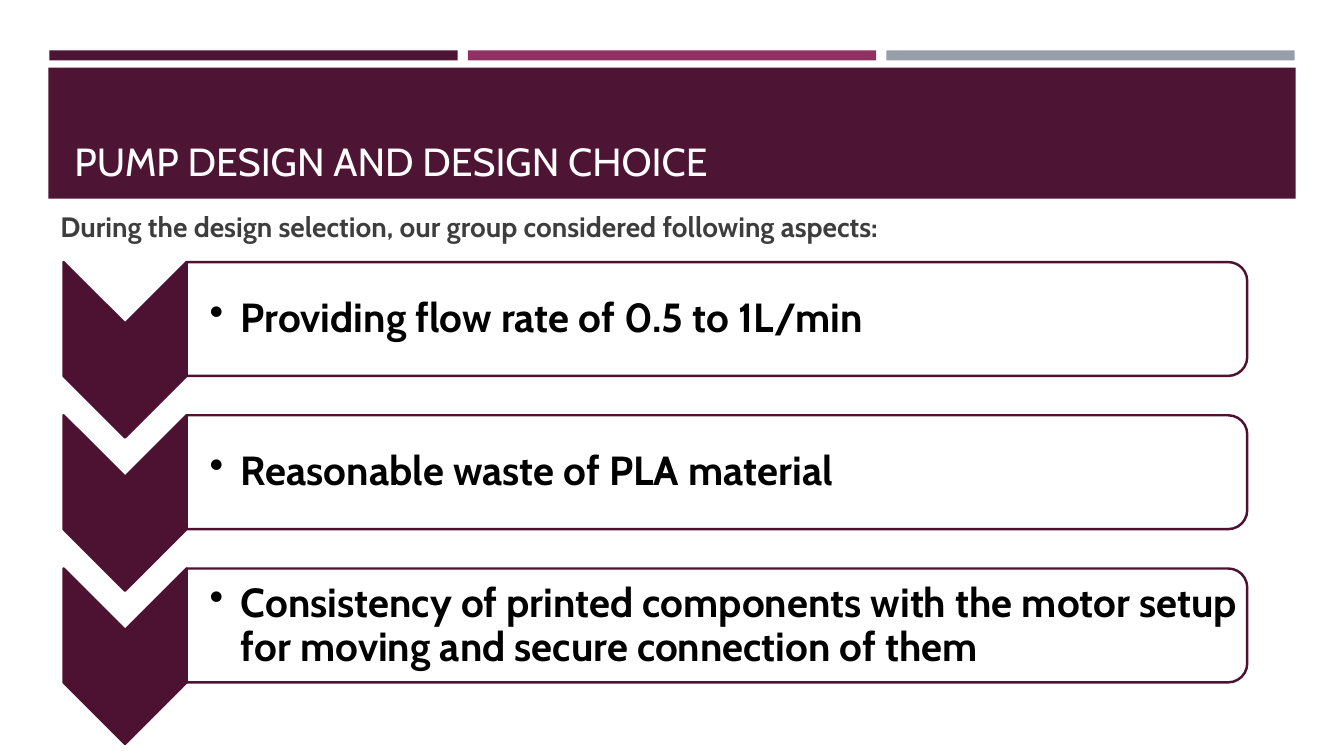
from lxml import etree
from pptx import Presentation
from pptx.dml.color import RGBColor
from pptx.enum import shapes, text
from pptx.oxml.ns import qn
from pptx.util import Inches, Pt

TITLE = "PUMP DESIGN AND DESIGN CHOICE"
INTRO = "During the design selection, our group considered following aspects:"
ASPECTS = [
    "Providing flow rate of 0.5 to 1L/min",
    "Reasonable waste of PLA material",
    "Consistency of printed components with the motor setup "
    "for moving and secure connection of them",
]
STRIPES = ["4D1434", "903163", "969FA7"]
BANNER = "4D1434"
ACCENT = "4D1132"
STRIPE_LEFT, STRIPE_STEP = 0.49, 4.15
ROW_TOP, ROW_STEP = 2.6, 1.52
PANEL_LEFT, PANEL_W, PANEL_H = 1.85, 10.52, 1.13
CHEVRON_LEFT, CHEVRON_W, CHEVRON_H = 0.63, 1.22, 1.74
BODY_INSETS = (0.1, 0.05, 0.1, 0.05)
ASPECT_INSETS = (0.23, 0.02, 0.02, 0.02)
TITLE_FONT = {"size": Pt(28), "name": "Cabin", "bold": False}
INTRO_FONT = {"size": Pt(20), "name": "Cabin", "bold": True}
ASPECT_FONT = {"size": Pt(29), "name": "Cabin", "bold": True}
MSO = shapes.MSO_SHAPE
ANCHOR = text.MSO_ANCHOR


def color(value):
    return RGBColor.from_string(value)


def add_block(kind, box, fill, line=None, rotation=0, adjust=()):
    sp = slide.shapes.add_shape(kind, *map(Inches, box))
    sp.shadow.inherit = False
    sp.rotation = rotation
    for i, value in enumerate(adjust):
        sp.adjustments[i] = value
    sp.fill.solid()
    sp.fill.fore_color.rgb = color(fill)
    if line:
        sp.line.color.rgb = color(line)
        sp.line.width = Pt(1.75)
    else:
        sp.line.fill.background()
    return sp


def add_turned(kind, left, top, width, height, fill, adjust):
    box = (left + (width - height) / 2, top + (height - width) / 2, height, width)
    return add_block(kind, box, fill, ACCENT, 90, adjust)


def add_text(box, words, font, fill, anchor, insets):
    tf = slide.shapes.add_textbox(*map(Inches, box)).text_frame
    tf.word_wrap = True
    tf.vertical_anchor = anchor
    for side, inset in zip(("left", "top", "right", "bottom"), insets):
        setattr(tf, f"margin_{side}", Inches(inset))
    p = tf.paragraphs[0]
    r = p.add_run()
    r.text = words
    for name, value in font.items():
        setattr(r.font, name, value)
    r.font.color.rgb = color(fill)
    return p


def add_bullet(p, indent):
    p.line_spacing = 0.9
    pPr = p._p.get_or_add_pPr()
    pPr.set("marL", str(Inches(indent)))
    pPr.set("indent", str(-Inches(indent)))
    etree.SubElement(pPr, qn("a:buChar"), char="•")


prs = Presentation()
prs.slide_width, prs.slide_height = Inches(13.33), Inches(7.5)
slide = prs.slides.add_slide(prs.slide_layouts[6])

for i, fill in enumerate(STRIPES):
    add_block(MSO.RECTANGLE, (STRIPE_LEFT + i * STRIPE_STEP, 0.5, 4.05, 0.1), fill)
add_block(MSO.RECTANGLE, (0.48, 0.67, 12.37, 1.3), BANNER)
add_text((0.64, 0.77, 12.06, 1.11), TITLE, TITLE_FONT, "FFFFFF", ANCHOR.BOTTOM, BODY_INSETS)
add_text((0.5, 1.97, 12.06, 0.55), INTRO, INTRO_FONT, "3D3D3D", ANCHOR.MIDDLE, BODY_INSETS)

for i, aspect in enumerate(ASPECTS):
    top = ROW_TOP + i * ROW_STEP
    add_turned(MSO.CHEVRON, CHEVRON_LEFT, top, CHEVRON_W, CHEVRON_H, ACCENT, [0.5])
    panel = add_turned(MSO.ROUND_2_SAME_RECTANGLE, PANEL_LEFT, top, PANEL_W, PANEL_H,
                       "FFFFFF", [0.167, 0])
    white = panel._element.spPr.find(qn("a:solidFill"))[0]
    etree.SubElement(white, qn("a:alpha"), val="90000")
    p = add_text((PANEL_LEFT, top + 0.06, 10.48, 1.02), aspect, ASPECT_FONT, "000000",
                 ANCHOR.MIDDLE, ASPECT_INSETS)
    add_bullet(p, 0.31)

prs.save("out.pptx")
